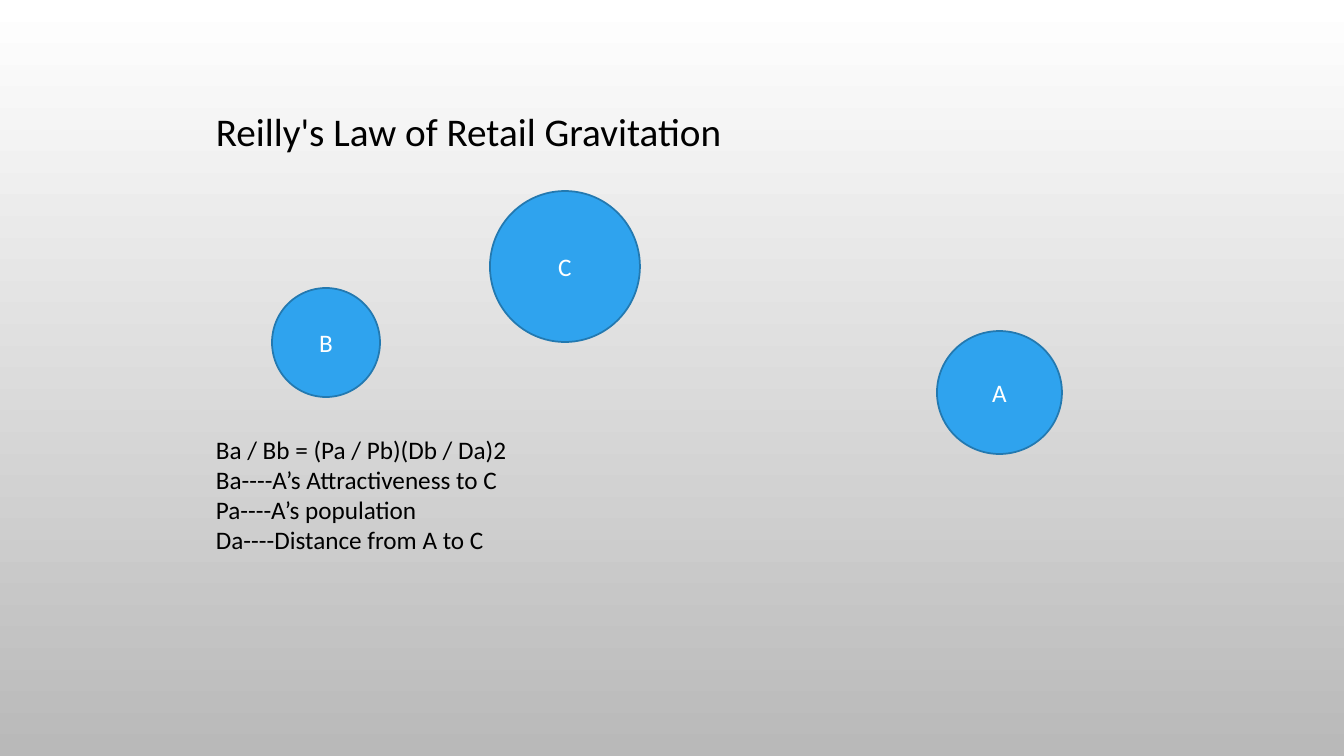
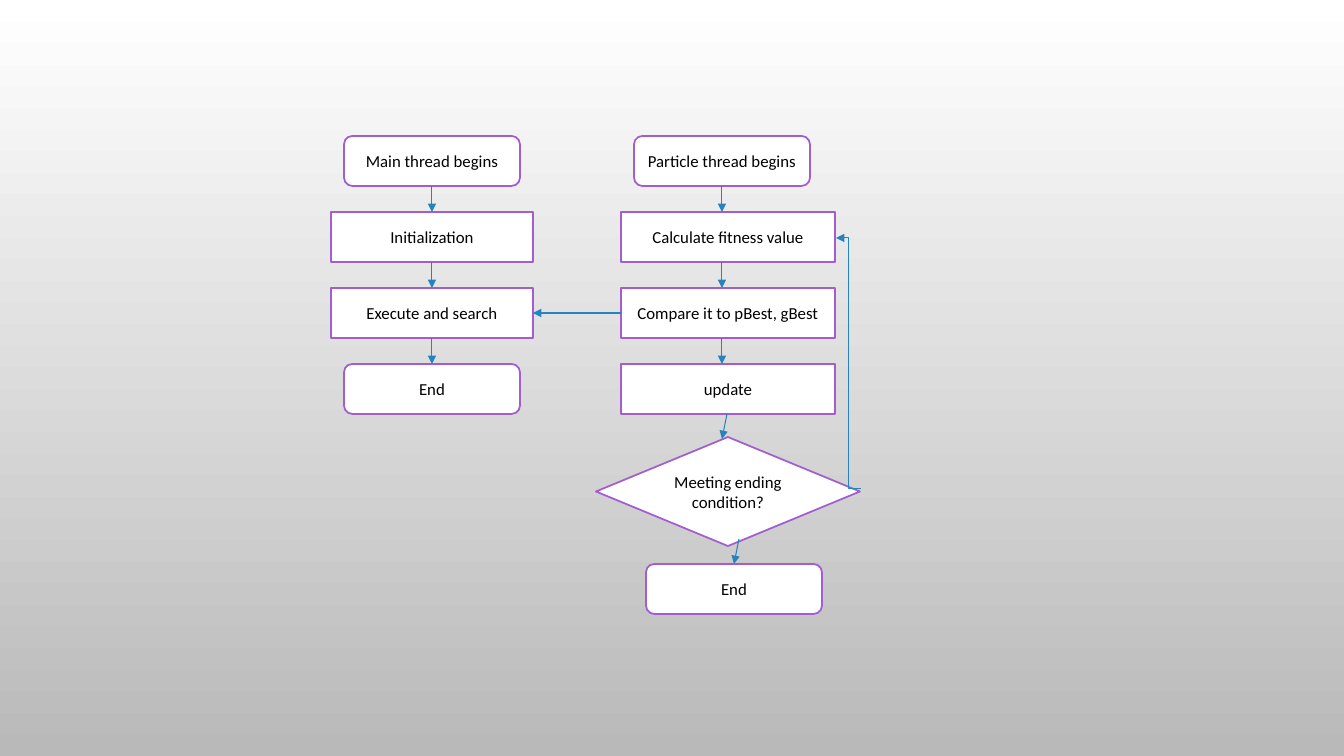
from pptx import Presentation
from pptx.dml.color import RGBColor
from pptx.enum.shapes import MSO_CONNECTOR, MSO_SHAPE
from pptx.enum.text import MSO_ANCHOR, MSO_AUTO_SIZE, PP_ALIGN
from pptx.oxml.ns import qn
from pptx.util import Pt
from lxml.etree import SubElement

PX = 914400 / 100.8
PAGE_WIDTH, PAGE_HEIGHT = 1344, 756
FONT = "Calibri"

WHITE = RGBColor(0xFF, 0xFF, 0xFF)
BLACK = RGBColor(0x00, 0x00, 0x00)
GREY = RGBColor(0xB9, 0xB9, 0xB9)
BLUE = RGBColor(0x2F, 0xA3, 0xEE)
DARK_BLUE = RGBColor(0x23, 0x79, 0xB0)
ARROW_BLUE = RGBColor(0x26, 0x83, 0xBF)
PURPLE = RGBColor(0xA3, 0x5D, 0xD1)

ROW_TOP, ROW_PITCH, BOX_HEIGHT = 136, 76, 50
TERMINAL_WIDTH = 176
MAIN_CENTER, MAIN_WIDTH = 432, 202
PARTICLE_CENTER, PARTICLE_WIDTH = 728, 214
PARTICLE_ARROW = 722


def emu(*lengths):
    return [round(length * PX) for length in lengths]


def row_top(row):
    return ROW_TOP + row * ROW_PITCH


def set_background(deck):
    """Give every slide the white-to-grey gradient through the master."""
    fill = deck.slide_master.background.fill
    fill.gradient()
    fill.gradient_angle = 270
    for stop, position, color in zip(fill.gradient_stops, (0, 1), (WHITE, GREY)):
        stop.position = position
        stop.color.rgb = color


def add_page(deck):
    return deck.slides.add_slide(deck.slide_layouts[6])


def write(frame, lines, size, color, align=PP_ALIGN.LEFT):
    frame.word_wrap = True
    for index, line in enumerate(lines):
        para = frame.add_paragraph() if index else frame.paragraphs[0]
        para.alignment = align
        span = para.add_run()
        span.text = line
        span.font.name = FONT
        span.font.size = Pt(size)
        span.font.color.rgb = color


def add_text(page, bounds, lines, size):
    box = page.shapes.add_textbox(*emu(*bounds))
    write(box.text_frame, lines, size, BLACK)
    box.text_frame.auto_size = MSO_AUTO_SIZE.SHAPE_TO_FIT_TEXT


def add_node(page, kind, bounds, label, size, fill, outline, color):
    node = page.shapes.add_shape(kind, *emu(*bounds))
    node.shadow.inherit = False
    node.fill.solid()
    node.fill.fore_color.rgb = fill
    node.line.color.rgb = outline
    node.line.width = Pt(1.25)
    node.text_frame.vertical_anchor = MSO_ANCHOR.MIDDLE
    write(node.text_frame, [label], size, color, PP_ALIGN.CENTER)


def add_city(page, label, bounds):
    add_node(page, MSO_SHAPE.OVAL, bounds, label, 18, BLUE, DARK_BLUE, WHITE)


def add_step(page, kind, center, top, width, label, height=BOX_HEIGHT):
    bounds = (center - width / 2, top, width, height)
    add_node(page, kind, bounds, label, 12, WHITE, PURPLE, BLACK)


def add_terminal(page, center, top, label):
    add_step(page, MSO_SHAPE.ROUNDED_RECTANGLE, center, top, TERMINAL_WIDTH, label)


def add_arrow(page, start, end, kind=MSO_CONNECTOR.STRAIGHT):
    arrow = page.shapes.add_connector(kind, *emu(*start, *end))
    arrow.line.color.rgb = ARROW_BLUE
    arrow.line.width = Pt(0.75)
    SubElement(arrow.line._get_or_add_ln(), qn("a:tailEnd"), type="triangle")
    SubElement(arrow._element.spPr, qn("a:effectLst"))


def build_gravitation(deck):
    page = add_page(deck)
    add_city(page, "B", (272, 288, 108, 109))
    add_city(page, "C", (490, 191, 150, 151))
    add_city(page, "A", (937, 331, 125, 123))
    formula = [
        "Ba / Bb = (Pa / Pb)(Db / Da)2",
        "Ba----A’s Attractiveness to C",
        "Pa----A’s population",
        "Da----Distance from A to C",
    ]
    add_text(page, (206, 429, 813, 132), formula, 18)
    add_text(page, (206, 102, 628, 57), ["Reilly's Law of Retail Gravitation"], 28)


def build_flowchart(deck):
    page = add_page(deck)
    add_terminal(page, MAIN_CENTER, row_top(0), "Main thread begins")
    for row, label in enumerate(["Initialization", "Execute and search"], 1):
        add_step(page, MSO_SHAPE.RECTANGLE, MAIN_CENTER, row_top(row), MAIN_WIDTH, label)
    add_terminal(page, MAIN_CENTER, row_top(3), "End")

    add_terminal(page, PARTICLE_ARROW, row_top(0), "Particle thread begins")
    particle_steps = ["Calculate fitness value", "Compare it to pBest, gBest", "update"]
    for row, label in enumerate(particle_steps, 1):
        add_step(page, MSO_SHAPE.RECTANGLE, PARTICLE_CENTER, row_top(row), PARTICLE_WIDTH, label)
    add_step(page, MSO_SHAPE.DIAMOND, PARTICLE_CENTER, 437, 264, "Meeting ending condition?", 109)
    add_terminal(page, 734, 564, "End")

    for x in (MAIN_CENTER, PARTICLE_ARROW):
        for row in range(3):
            add_arrow(page, (x, row_top(row) + BOX_HEIGHT), (x, row_top(row + 1)))
    add_arrow(page, (727, 414), (722, 439))
    add_arrow(page, (739, 539), (734, 564))
    add_arrow(page, (861, 489), (836, 238), MSO_CONNECTOR.ELBOW)
    add_arrow(page, (621, 313), (533, 313))


def main():
    deck = Presentation()
    deck.slide_width, deck.slide_height = emu(PAGE_WIDTH, PAGE_HEIGHT)
    set_background(deck)
    build_gravitation(deck)
    build_flowchart(deck)
    deck.save("out.pptx")


if __name__ == "__main__":
    main()
